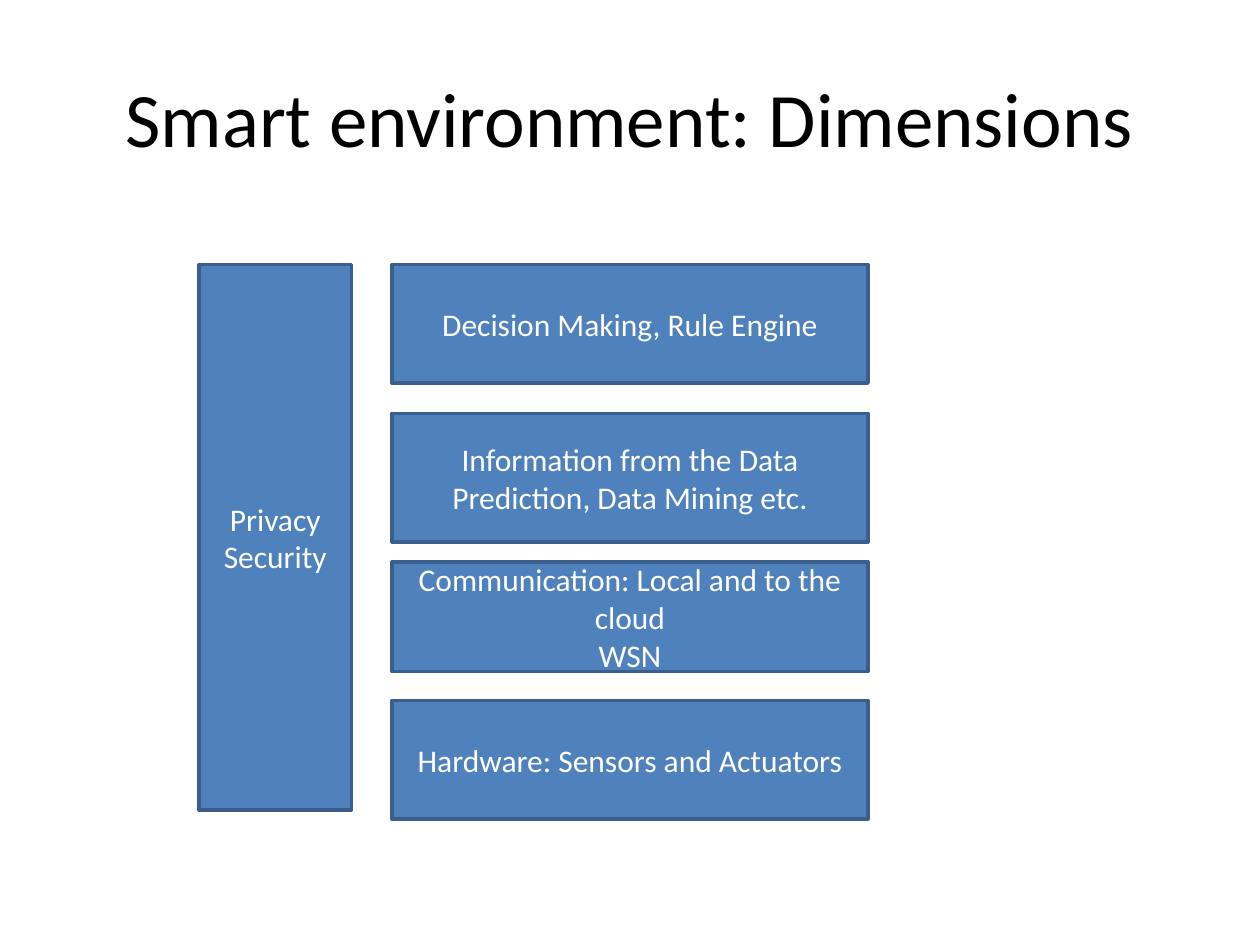
from dataclasses import dataclass

from pptx import Presentation
from pptx.dml.color import RGBColor
from pptx.enum.shapes import MSO_SHAPE
from pptx.enum.text import MSO_ANCHOR, PP_ALIGN
from pptx.slide import Slide
from pptx.text.text import TextFrame
from pptx.util import Inches, Pt

BLUE, EDGE, WHITE, BLACK = "4F81BD", "3A5F8C", "FFFFFF", "000000"
LAYER_LEFT, LAYER_WIDTH = 3.11, 3.78


@dataclass
class Box:
    """A labelled block; lengths are in inches."""
    left: float
    top: float
    width: float
    height: float
    lines: tuple[str, ...]


def layer(top: float, height: float, *lines: str) -> Box:
    """Return one block of the layer stack."""
    return Box(LAYER_LEFT, top, LAYER_WIDTH, height, lines)


BOXES = [
    layer(5.56, 0.94, "Hardware: Sensors and Actuators"),
    layer(4.46, 0.87, "Communication: Local and to the cloud", "WSN"),
    layer(3.28, 1.02, "Information from the Data", "Prediction, Data Mining etc."),
    layer(2.1, 0.94, "Decision Making, Rule Engine"),
    Box(1.58, 2.1, 1.21, 4.33, ("Privacy", "Security")),
]


def rgb(value: str) -> RGBColor:
    """Turn a hex string into a colour."""
    return RGBColor.from_string(value)


def write(tf: TextFrame, lines: tuple[str, ...], size: int, color: str) -> None:
    """Fill a text frame with centred paragraphs."""
    tf.word_wrap = True
    tf.vertical_anchor = MSO_ANCHOR.MIDDLE
    tf.text = "\n".join(lines)
    for p in tf.paragraphs:
        p.alignment = PP_ALIGN.CENTER
        font = p.runs[0].font
        for name, value in {"name": "Calibri", "size": Pt(size)}.items():
            setattr(font, name, value)
        font.color.rgb = rgb(color)


def add_title(s: Slide, text: str) -> None:
    """Place the slide title."""
    title = s.shapes.title
    place = {"left": 0.5, "top": 0.3, "width": 9, "height": 1.25}
    for name, value in place.items():
        setattr(title, name, Inches(value))
    write(title.text_frame, (text,), 44, BLACK)


def add_box(s: Slide, box: Box) -> None:
    """Draw one labelled block."""
    place = (box.left, box.top, box.width, box.height)
    sp = s.shapes.add_shape(MSO_SHAPE.RECTANGLE, *map(Inches, place))
    sp.shadow.inherit = False
    sp.fill.solid()
    sp.fill.fore_color.rgb = rgb(BLUE)
    sp.line.color.rgb = rgb(EDGE)
    sp.line.width = Pt(2)
    write(sp.text_frame, box.lines, 18, WHITE)


prs = Presentation()
prs.slide_width, prs.slide_height = Inches(10), Inches(7.5)
s = prs.slides.add_slide(prs.slide_layouts[5])
add_title(s, "Smart environment: Dimensions")
for box in BOXES:
    add_box(s, box)
prs.save("out.pptx")
